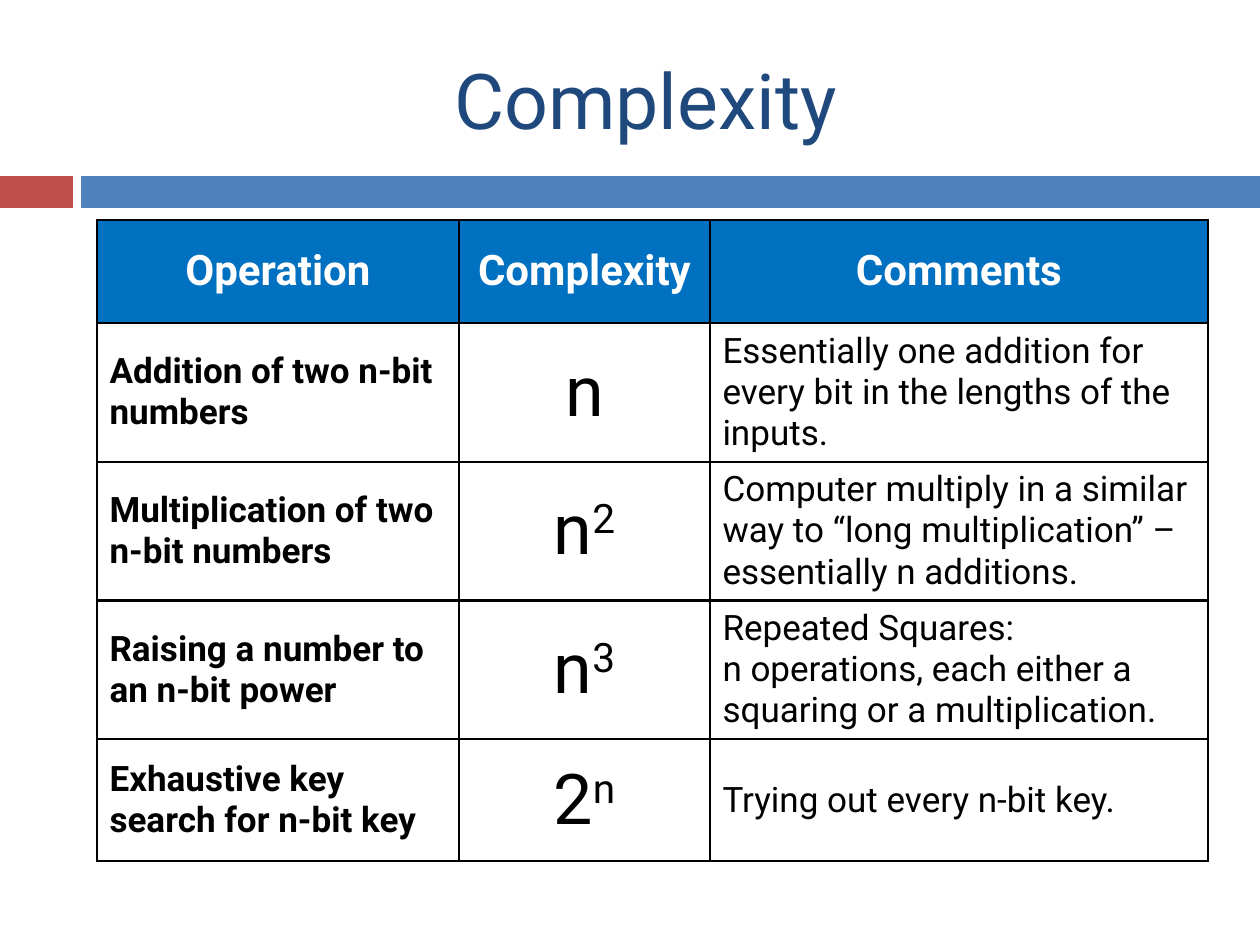
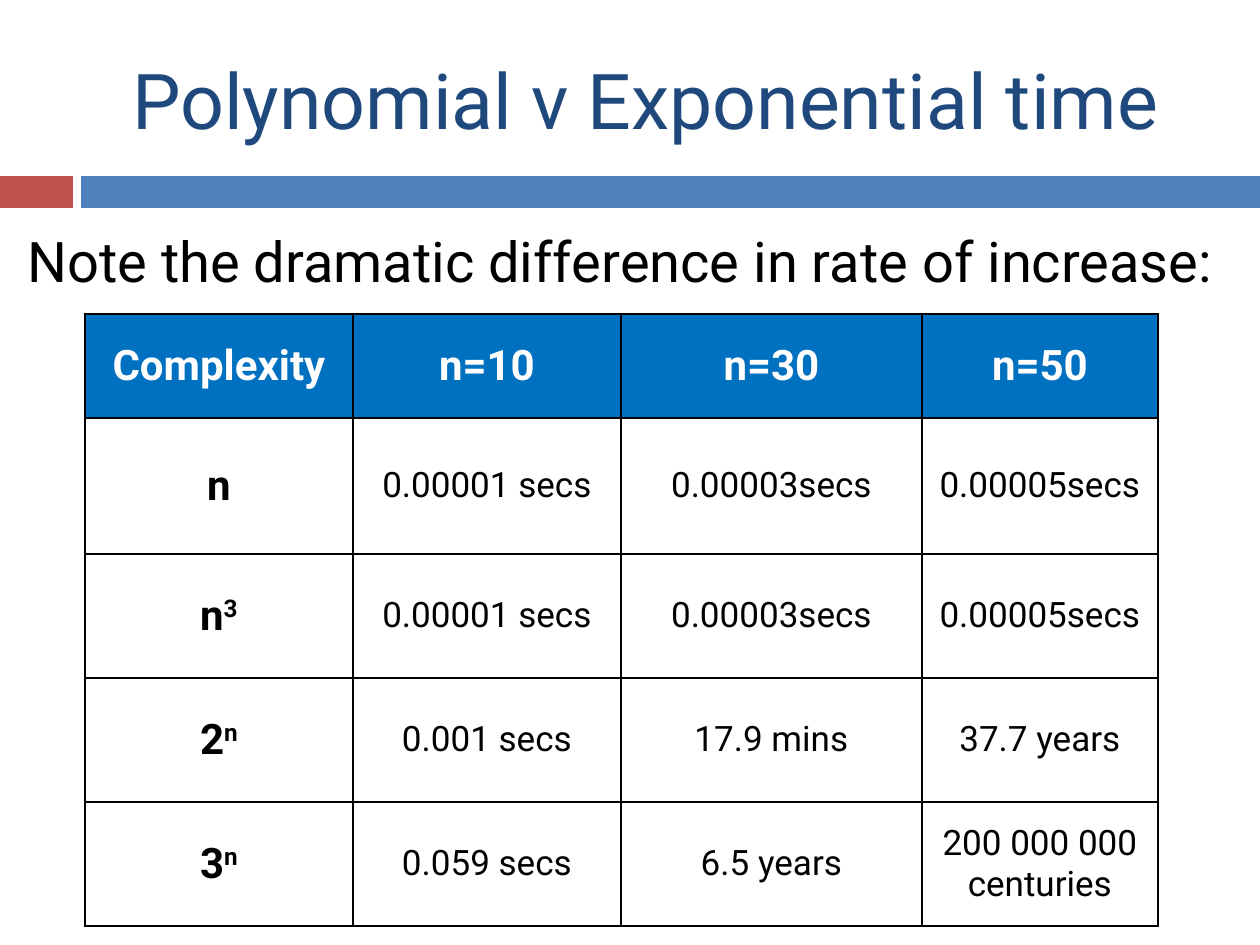
from lxml.etree import SubElement
from pptx import Presentation
from pptx.dml.color import RGBColor
from pptx.enum.shapes import MSO_SHAPE as Shape
from pptx.enum.text import MSO_ANCHOR as Anchor, PP_ALIGN as Align
from pptx.oxml.ns import qn
from pptx.util import Emu, Pt

EMU_PER_PX = 914400 / 126
PAGE_WIDTH, PAGE_HEIGHT = 1260, 945
FONT = "Roboto"
COLOURS = {
    "title": "1F497D", "accent": "C0504D", "band": "4F81BD",
    "header": "0070C0", "text": "000000", "paper": "FFFFFF",
}
TITLE_BOX = (84, 31, 1124, 136)
BAND_TOP, BAND_HEIGHT = 176, 32
BANDS = {"accent": (0, 73), "band": (81, PAGE_WIDTH - 81)}
BORDER_WIDTH = Pt(1.5)

TITLE = {"size": 44, "colour": "title", "align": Align.CENTER}
LEAD = {"size": 32, "space_before": 7}
HEADER = {"size": 24, "bold": True, "colour": "paper", "align": Align.CENTER}
LABEL = {"size": 20, "bold": True}
FORMULA = {"size": 40, "align": Align.CENTER}
COMMENT = {"size": 20}
TERM = {"size": 24, "bold": True, "align": Align.CENTER}
DURATION = {"size": 20, "align": Align.CENTER}

OPERATIONS = [
    ("Operation", "Complexity", "Comments"),
    ("Addition of two n-bit numbers", "n",
     "Essentially one addition for every bit in the lengths of the inputs."),
    ("Multiplication of two n-bit numbers", "n^2",
     "Computer multiply in a similar way to “long multiplication” –essentially n additions."),
    ("Raising a number to an n-bit power", "n^3",
     "Repeated Squares:\nn operations, each either a squaring or a multiplication."),
    ("Exhaustive key search for n-bit key", "2^n", "Trying out every n-bit key."),
]
RUNNING_TIMES = [
    ("Complexity", "n=10", "n=30", "n=50"),
    ("n", "0.00001 secs", "0.00003secs", "0.00005secs"),
    ("n^3", "0.00001 secs", "0.00003secs", "0.00005secs"),
    ("2^n", "0.001 secs", "17.9 mins", "37.7 years"),
    ("3^n", "0.059 secs", "6.5 years", "200 000 000 centuries"),
]


def px(length):
    """Turn pixels into EMU."""
    return Emu(round(length * EMU_PER_PX))


def rgb(name):
    """Look up a colour of the deck."""
    return RGBColor.from_string(COLOURS[name])


def add_span(para, text, style, raised=False):
    """Add one formatted run, raised if it is an exponent."""
    span = para.add_run()
    span.text = text
    values = {"name": FONT, "size": Pt(style["size"]), "bold": style.get("bold", False)}
    for name, value in values.items():
        setattr(span.font, name, value)
    span.font.color.rgb = rgb(style.get("colour", "text"))
    if raised:
        span._r.get_or_add_rPr().set("baseline", "30000")


def write(frame, text, style):
    """Write lines into a text frame, with a caret before an exponent."""
    frame.word_wrap = True
    for index, line in enumerate(text.split("\n")):
        para = frame.add_paragraph() if index else frame.paragraphs[0]
        para.alignment = style.get("align", Align.LEFT)
        para.space_before = Pt(style.get("space_before", 0))
        base, _, exponent = line.partition("^")
        add_span(para, base, style)
        if exponent:
            add_span(para, exponent, style, raised=True)


def add_text(page, box, text, style, anchor=Anchor.TOP):
    """Place a text box."""
    frame = page.shapes.add_textbox(*map(px, box)).text_frame
    write(frame, text, style)
    frame.vertical_anchor = anchor


def add_bands(page):
    """Draw the two bands below the title."""
    for colour, (left, width) in BANDS.items():
        box = (left, BAND_TOP, width, BAND_HEIGHT)
        band = page.shapes.add_shape(Shape.RECTANGLE, *map(px, box))
        band.shadow.inherit = False
        band.fill.solid()
        band.fill.fore_color.rgb = rgb(colour)
        band.line.fill.background()


def add_borders(cell):
    """Draw a line on all four sides of a cell."""
    properties = cell._tc.get_or_add_tcPr()
    for side in ("lnL", "lnR", "lnT", "lnB"):
        line = SubElement(properties, qn(f"a:{side}"), w=str(BORDER_WIDTH))
        fill = SubElement(line, qn("a:solidFill"))
        SubElement(fill, qn("a:srgbClr"), val=COLOURS["text"])


def add_grid(page, origin, widths, heights, rows, styles):
    """Build a table with a coloured header and one style per column."""
    box = (*origin, sum(widths), sum(heights))
    table = page.shapes.add_table(len(rows), len(widths), *map(px, box)).table
    for column, width in zip(table.columns, widths):
        column.width = px(width)
    for row_index, (row, height) in enumerate(zip(rows, heights)):
        table.rows[row_index].height = px(height)
        for column_index, text in enumerate(row):
            cell = table.cell(row_index, column_index)
            add_borders(cell)
            cell.fill.solid()
            cell.fill.fore_color.rgb = rgb("paper" if row_index else "header")
            cell.vertical_anchor = Anchor.MIDDLE
            write(cell.text_frame, text, styles[column_index] if row_index else HEADER)


def add_page(deck, title):
    """Start a slide with its bands and title."""
    page = deck.slides.add_slide(deck.slide_layouts[6])
    add_bands(page)
    add_text(page, TITLE_BOX, title, TITLE, Anchor.MIDDLE)
    return page


def add_operations_page(deck):
    """Build the slide on the complexity of operations."""
    page = add_page(deck, "Complexity")
    add_grid(page, (97, 220), (362, 251, 498), (103, 136, 136, 136, 122),
             OPERATIONS, (LABEL, FORMULA, COMMENT))


def add_running_times_page(deck):
    """Build the slide that compares running times."""
    page = add_page(deck, "Polynomial v Exponential time")
    add_text(page, (15, 220, 1230, 80),
             "Note the dramatic difference in rate of increase:", LEAD)
    add_grid(page, (85, 314), (268, 268, 301, 236), (104, 136, 124, 124, 124),
             RUNNING_TIMES, (TERM, DURATION, DURATION, DURATION))


def main():
    """Build and save the deck."""
    deck = Presentation()
    deck.slide_width, deck.slide_height = px(PAGE_WIDTH), px(PAGE_HEIGHT)
    add_operations_page(deck)
    add_running_times_page(deck)
    deck.save("out.pptx")


if __name__ == "__main__":
    main()
